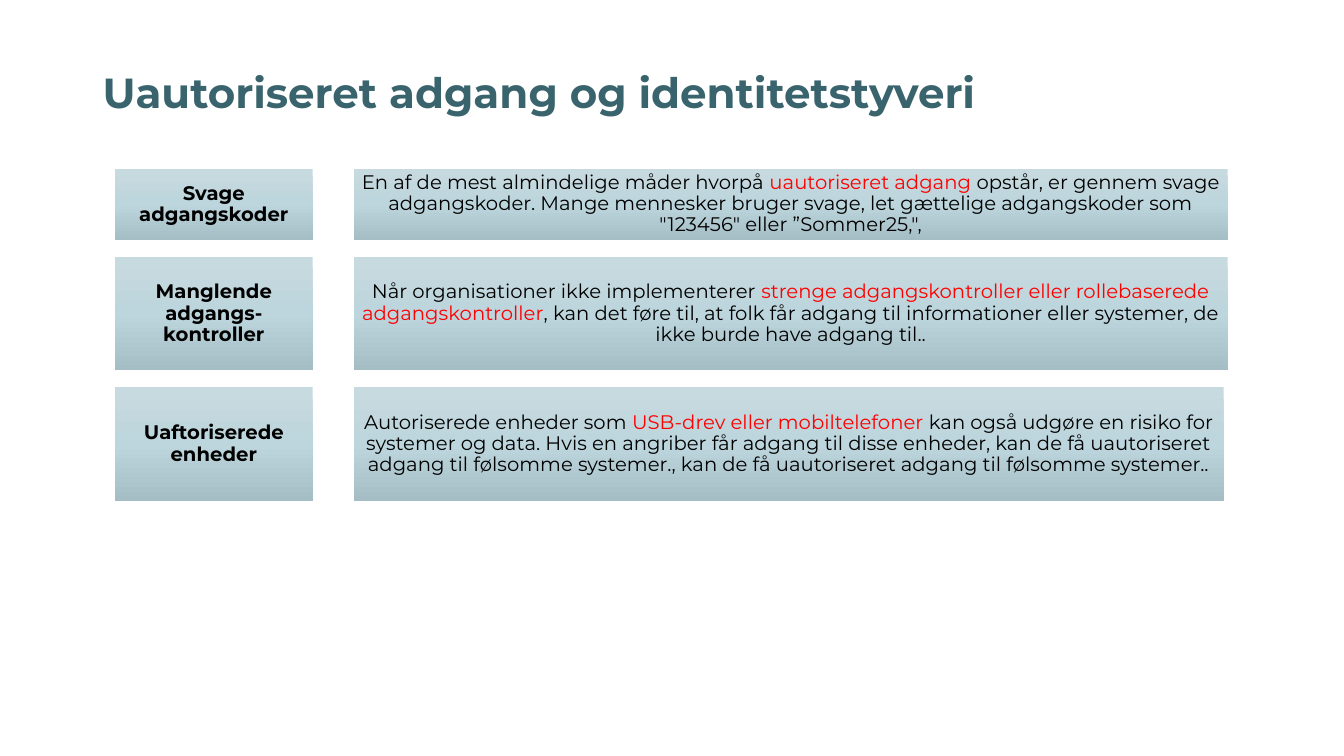
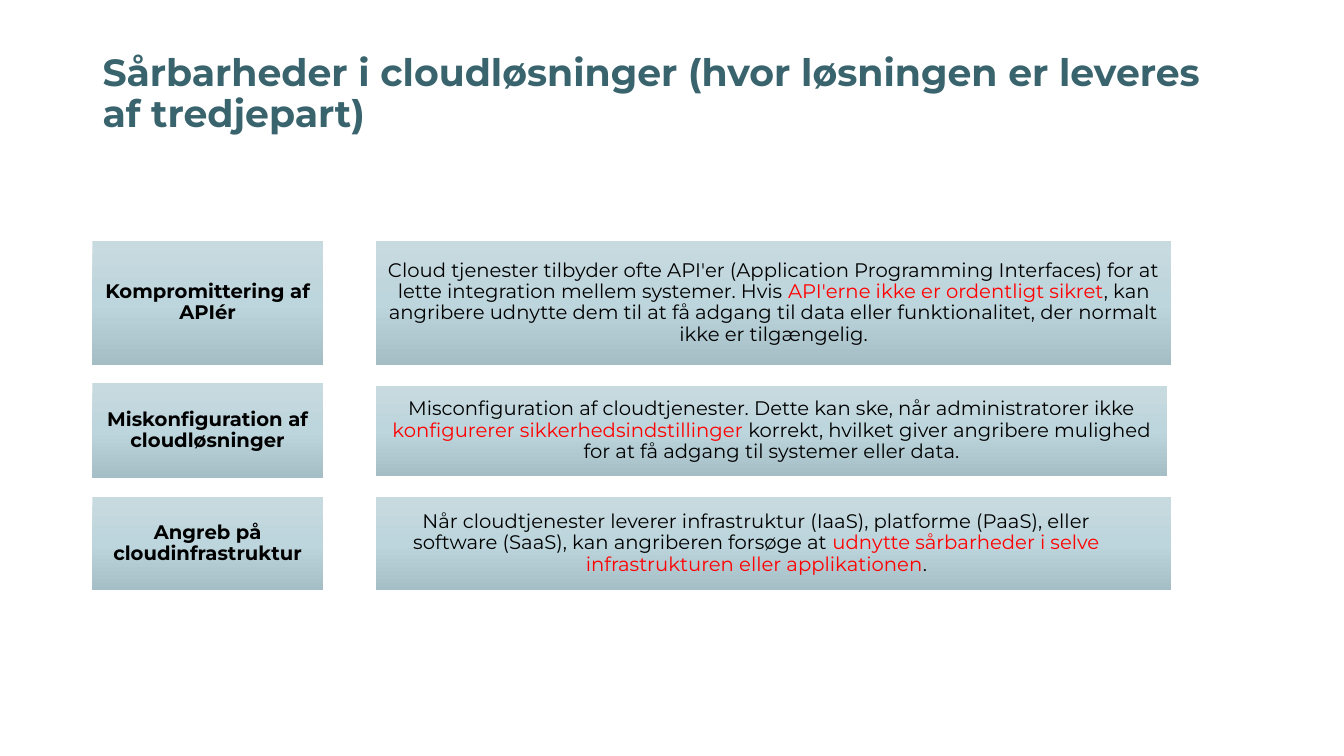
from copy import deepcopy
from dataclasses import dataclass

from pptx import Presentation
from pptx.dml.color import RGBColor
from pptx.enum.shapes import MSO_SHAPE
from pptx.enum.text import MSO_ANCHOR, MSO_AUTO_SIZE, PP_ALIGN
from pptx.oxml.ns import qn
from pptx.util import Cm, Pt

RECTANGLE = MSO_SHAPE.RECTANGLE
MIDDLE = MSO_ANCHOR.MIDDLE
NO_AUTOFIT = MSO_AUTO_SIZE.NONE
LEFT, CENTER = PP_ALIGN.LEFT, PP_ALIGN.CENTER
TITLE_ONLY = 5


@dataclass(frozen=True)
class Theme:
    font: str = "Montserrat"
    title: str = "3A646D"
    text: str = "000000"
    accent: str = "FF0000"
    gradient: tuple = ((0, "C7DAE0"), (0.5, "BDD5DC"), (1, "A5BEC6"))
    text_size: int = 14
    line_spacing: float = 0.9
    inset: float = 0.15


@dataclass(frozen=True)
class Box:
    left: float
    top: float
    width: float
    height: float

    def lengths(self):
        return Cm(self.left), Cm(self.top), Cm(self.width), Cm(self.height)


@dataclass(frozen=True)
class Row:
    height: float
    label: str
    before: str
    accent: str
    after: str
    trim_x: float = 0
    trim_y: float = 0
    side_insets: tuple = (Theme.inset, Theme.inset)


@dataclass(frozen=True)
class Topic:
    title: str
    title_size: int
    title_box: Box
    title_lift: float
    left: float
    top: float
    label_width: float
    body_left: float
    body_width: float
    gap: float
    rows: tuple


THEME = Theme()

TOPICS = (
    Topic(
        "Uautoriseret adgang og identitetstyveri", 30,
        Box(2.33, 1.7, 29.21, 2.57), 1.16,
        2.9, 4.25, 4.98, 8.92, 22.02, 0.43,
        (
            Row(1.8, "Svage adgangskoder",
                "En af de mest almindelige måder hvorpå ",
                "uautoriseret adgang ",
                "opstår, er gennem svage adgangskoder. Mange mennesker bruger "
                "svage, let gættelige adgangskoder som \"123456\" eller ”Sommer25,\","),
            Row(2.85, "Manglende adgangs-kontroller",
                "Når organisationer ikke implementerer ",
                "strenge adgangskontroller eller rollebaserede adgangskontroller",
                ", kan det føre til, at folk får adgang til informationer eller "
                "systemer, de ikke burde have adgang til.."),
            Row(2.87, "Uaftoriserede enheder",
                "Autoriserede enheder som ",
                "USB-drev eller mobiltelefoner ",
                "kan også udgøre en risiko for systemer og data. Hvis en angriber "
                "får adgang til disse enheder, kan de få uautoriseret adgang til "
                "følsomme systemer., kan de få uautoriseret adgang til følsomme "
                "systemer..", trim_x=0.1),
        ),
    ),
    Topic(
        "Sårbarheder i cloudløsninger (hvor løsningen er leveres af tredjepart)", 27,
        Box(2.33, 1.63, 29.21, 2.57), 1.04,
        2.33, 6.08, 5.81, 9.48, 20.04, 0.47,
        (
            Row(3.11, "Kompromittering af APIér",
                "Cloud tjenester tilbyder ofte API'er (Application Programming "
                "Interfaces) for at lette integration mellem systemer. Hvis ",
                "API'erne ikke er ordentligt sikret",
                ", kan angribere udnytte dem til at få adgang til data eller "
                "funktionalitet, der normalt ikke er tilgængelig."),
            Row(2.39, "Miskonfiguration af cloudløsninger",
                "Misconfiguration af cloudtjenester. Dette kan ske, når "
                "administratorer ikke ",
                "konfigurerer sikkerhedsindstillinger ",
                "korrekt, hvilket giver angribere mulighed for at få adgang til "
                "systemer eller data.", trim_x=0.1, trim_y=0.06),
            Row(2.36, "Angreb på cloudinfrastruktur",
                "Når cloudtjenester leverer infrastruktur (IaaS), platforme (PaaS), "
                "eller software (SaaS), kan angriberen forsøge at ",
                "udnytte sårbarheder i selve infrastrukturen eller applikationen",
                ".", side_insets=(0.73, 1.6)),
        ),
    ),
)


def style_run(r, size, color, bold=False):
    r.font.name = THEME.font
    r.font.size = Pt(size)
    r.font.bold = bold
    r.font.color.rgb = RGBColor.from_string(color)


def add_title(s, topic):
    sp = s.shapes.title
    sp.left, sp.top, sp.width, sp.height = topic.title_box.lengths()
    tf = sp.text_frame
    tf.text = topic.title
    tf.word_wrap = True
    tf.auto_size = NO_AUTOFIT
    tf.vertical_anchor = MIDDLE
    tf.margin_bottom = Cm(0.13 + topic.title_lift)
    p = tf.paragraphs[0]
    p.alignment = LEFT
    p.line_spacing = THEME.line_spacing
    style_run(p.runs[0], topic.title_size, THEME.title, True)


def fill_gradient(sp):
    fill = sp.fill
    fill.gradient()
    fill.gradient_angle = 270
    stops = sp._element.spPr.find(".//" + qn("a:gsLst"))
    stops.insert(1, deepcopy(stops[0]))
    for stop, (position, color) in zip(fill.gradient_stops, THEME.gradient):
        stop.position = position
        stop.color.rgb = RGBColor.from_string(color)


def add_panel(s, box, parts, bold=False, side_insets=Row.side_insets):
    sp = s.shapes.add_shape(RECTANGLE, *box.lengths())
    sp.shadow.inherit = False
    sp.line.fill.background()
    fill_gradient(sp)
    tf = sp.text_frame
    tf.word_wrap = True
    tf.vertical_anchor = MIDDLE
    tf.margin_left, tf.margin_right = map(Cm, side_insets)
    tf.margin_top = tf.margin_bottom = Cm(THEME.inset)
    p = tf.paragraphs[0]
    p.alignment = CENTER
    p.line_spacing = THEME.line_spacing
    for text, color in parts:
        r = p.add_run()
        r.text = text
        style_run(r, THEME.text_size, color, bold)


def add_row(s, topic, row, top):
    label_box = Box(topic.left, top, topic.label_width, row.height)
    body_box = Box(topic.body_left, top + row.trim_y,
                   topic.body_width - row.trim_x, row.height - 2 * row.trim_y)
    add_panel(s, label_box, [(row.label, THEME.text)], bold=True)
    add_panel(s, body_box,
              [(row.before, THEME.text), (row.accent, THEME.accent),
               (row.after, THEME.text)],
              side_insets=row.side_insets)


def add_topic_slide(prs, topic):
    s = prs.slides.add_slide(prs.slide_layouts[TITLE_ONLY])
    add_title(s, topic)
    top = topic.top
    for row in topic.rows:
        add_row(s, topic, row, top)
        top += row.height + topic.gap


def main():
    prs = Presentation()
    prs.slide_width, prs.slide_height = Cm(33.87), Cm(19.05)
    for topic in TOPICS:
        add_topic_slide(prs, topic)
    prs.save("out.pptx")


if __name__ == "__main__":
    main()
